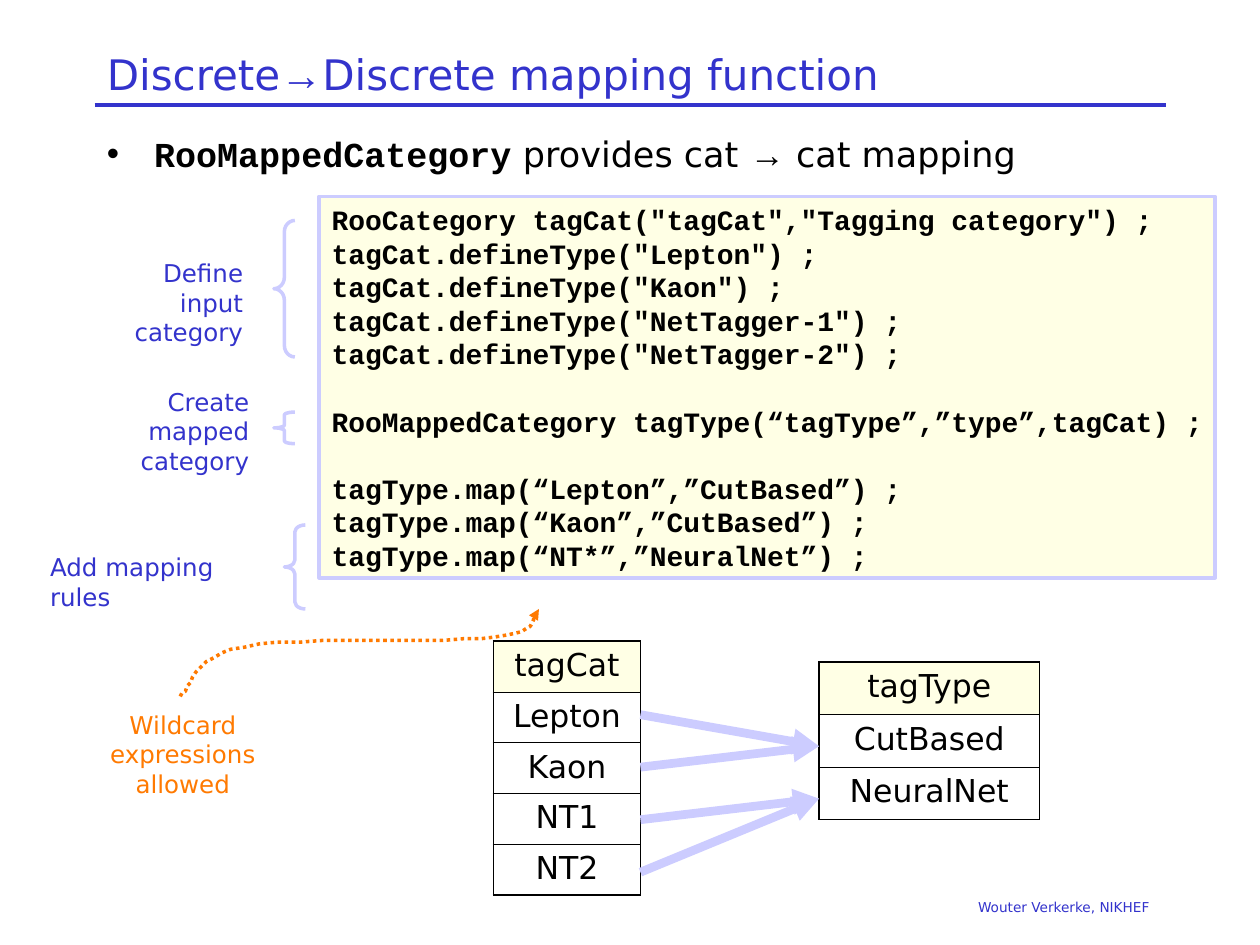
"""Build the slide on mapping one category to another."""
from lxml.etree import SubElement
from pptx import Presentation
from pptx.dml.color import RGBColor
from pptx.enum.dml import MSO_LINE
from pptx.enum.shapes import MSO_CONNECTOR, MSO_SHAPE
from pptx.enum.text import MSO_ANCHOR, PP_ALIGN
from pptx.oxml.ns import qn
from pptx.util import Pt

HUES = {"ink": "000000", "blue": "3333CC", "lilac": "CCCCFF",
        "cream": "FFFFCC", "flame": "FF7A01"}
SANS, MONO, SIGN = "DejaVu Sans", "Courier New", "Arial"
CODE = [
    ['RooCategory tagCat("tagCat","Tagging category") ;',
     'tagCat.defineType("Lepton") ;',
     'tagCat.defineType("Kaon") ;',
     'tagCat.defineType("NetTagger-1") ;',
     'tagCat.defineType("NetTagger-2") ;'],
    ["RooMappedCategory tagType(“tagType”,”type”,tagCat) ;"],
    ["tagType.map(“Lepton”,”CutBased”) ;",
     "tagType.map(“Kaon”,”CutBased”) ;",
     "tagType.map(“NT*”,”NeuralNet”) ;"],
]


def tint(name):
    """Return the named colour."""
    return RGBColor.from_string(HUES[name])


def fade(node):
    """Make the first solid fill in a node half clear."""
    hue = next(node.iter(qn("a:srgbClr")))
    SubElement(hue, qn("a:alpha"), val="50000")


def write(frame, paras, size=14, font=SANS, hue="ink", bold=False,
          align=PP_ALIGN.LEFT, anchor=MSO_ANCHOR.TOP, mark=None, gaps=()):
    """Fill a text frame with paragraphs of plain or (text, font, bold) runs."""
    frame.word_wrap = True
    frame.vertical_anchor = anchor
    for i, para in enumerate(paras):
        line = frame.paragraphs[0] if i == 0 else frame.add_paragraph()
        line.alignment = align
        if i in gaps:
            line.space_before = Pt(size * 1.2)
        if mark:
            props = line._p.get_or_add_pPr()
            props.set("marL", str(Pt(27)))
            props.set("indent", str(-Pt(27)))
            SubElement(props, qn("a:buFont"), typeface=SIGN)
            SubElement(props, qn("a:buChar"), char=mark)
        runs = [(para, font, bold)] if isinstance(para, str) else para
        for text, face, heavy in runs:
            for j, part in enumerate(text.split("\n")):
                if j:
                    line.add_line_break()
                run = line.add_run()
                run.text = part
                run.font.size, run.font.name = Pt(size), face
                run.font.bold, run.font.color.rgb = heavy, tint(hue)


def label(slide, box, paras, **style):
    """Add a text box at the given box."""
    frame = slide.shapes.add_textbox(*map(Pt, box)).text_frame
    write(frame, paras, **style)


def link(slide, start, end, width, hue, head=False):
    """Draw a straight line, with an arrowhead if asked."""
    rule = slide.shapes.add_connector(
        MSO_CONNECTOR.STRAIGHT, *map(Pt, (*start, *end)))
    rule.line.width, rule.line.color.rgb = Pt(width), tint(hue)
    if head:
        point(rule)
    SubElement(rule._element.spPr, qn("a:effectLst"))


def point(shape):
    """Put a triangle at the end of a line."""
    SubElement(shape._element.spPr.find(qn("a:ln")), qn("a:tailEnd"),
               type="triangle")


def header(slide, box):
    """Place the title, its rule and the lead bullet."""
    x, y, w, h = box
    label(slide, box, [[("Discrete", SANS, False), ("→", SIGN, False),
                        ("Discrete mapping function", SANS, False)]],
          size=24, hue="blue", anchor=MSO_ANCHOR.MIDDLE)
    link(slide, (x, y + h), (x + w, y + h), 2, "blue")
    label(slide, (x, y + 48, w, 36),
          [[("RooMappedCategory", MONO, True), (" provides cat ", SANS, False),
            ("→", SIGN, False), (" cat mapping", SANS, False)]],
          size=20, mark="•")


def listing(slide, box):
    """Place the framed code."""
    panel = slide.shapes.add_shape(MSO_SHAPE.RECTANGLE, *map(Pt, box))
    panel.shadow.inherit = False
    panel.fill.solid()
    panel.fill.fore_color.rgb = tint("cream")
    fade(panel._element.spPr)
    panel.line.width, panel.line.color.rgb = Pt(2), tint("lilac")
    panel.text_frame.margin_right = Pt(0)
    gaps = (len(CODE[0]), len(CODE[0]) + len(CODE[1]))
    write(panel.text_frame, sum(CODE, []), size=16, font=MONO, bold=True,
          gaps=gaps)


def brace(slide, box):
    """Place a curly brace beside the code."""
    _, _, w, h = box
    shape = slide.shapes.add_shape(MSO_SHAPE.LEFT_BRACE, *map(Pt, box))
    shape.adjustments[0] = h / 12 / min(w, h)
    shape.shadow.inherit = False
    shape.fill.background()
    shape.line.width, shape.line.color.rgb = Pt(2), tint("lilac")


def notes(slide, box):
    """Place the braces and the steps they name."""
    x, y, _, _ = box
    steps = [("Define input\ncategory", (28.5, 18, 96, 41),
              (135, 0, 12, 78)),
             ("Create mapped\ncategory", (12, 91.5, 116, 41),
              (135, 109.5, 12, 18)),
             ("Add mapping rules", (0, 186, 140, 24.5),
              (141, 174, 12, 48))]
    for text, spot, curl in steps:
        side = PP_ALIGN.RIGHT if "\n" in text else PP_ALIGN.LEFT
        label(slide, (x + spot[0], y + spot[1], *spot[2:]), [text],
              hue="blue", align=side)
        brace(slide, (x + curl[0], y + curl[1], *curl[2:]))


def bend(a, b, c, d, steps=12):
    """Return points along a cubic curve."""
    ts = [i / steps for i in range(1, steps + 1)]
    return [tuple((1 - t) ** 3 * p + 3 * t * (1 - t) ** 2 * q
                  + 3 * t * t * (1 - t) * r + t ** 3 * s
                  for p, q, r, s in zip(a, b, c, d)) for t in ts]


def hint(slide, box):
    """Place the wildcard remark and its dotted arrow."""
    x, y, w, h = box
    label(slide, (x, y + 54, w, 41), ["Wildcard expressions", "allowed"],
          hue="flame", align=PP_ALIGN.CENTER)
    knots = [(76, 50), (82, 45), (83, 27), (112, 21.5), (142.5, 15.5),
             (229, 20), (256, 16), (284, 12.5), (275.5, 3.5), (280.5, 0)]
    knots = [(x + a, y + b) for a, b in knots]
    dots = [p for i in range(0, 9, 3) for p in bend(*knots[i:i + 4])]
    path = slide.shapes.build_freeform(*knots[0], scale=Pt(1))
    path.add_line_segments(dots, close=False)
    curve = path.convert_to_shape()
    curve.shadow.inherit = False
    curve.fill.background()
    curve.line.width, curve.line.color.rgb = Pt(2), tint("flame")
    curve.line.dash_style = MSO_LINE.ROUND_DOT
    point(curve)


def edge(cell, first, last):
    """Draw the borders of a cell, thicker around the table."""
    props = cell._tc.get_or_add_tcPr()
    widths = {"L": 1.08, "R": 1.08, "T": 1.08 if first else 0.45,
              "B": 1.08 if last else 0.45}
    for i, (side, width) in enumerate(widths.items()):
        rule = SubElement(props, qn("a:ln" + side), w=str(Pt(width)))
        SubElement(SubElement(rule, qn("a:solidFill")), qn("a:srgbClr"),
                   val=HUES["ink"])
        props.insert(i, rule)


def states(slide, box, names):
    """Place a one-column table of category states."""
    x, y, w, h = box
    grid = slide.shapes.add_table(len(names), 1, *map(Pt, box)).table
    grid.first_row = grid.horz_banding = False
    for i, name in enumerate(names):
        grid.rows[i].height = Pt(h / len(names))
        cell = grid.cell(i, 0)
        cell.margin_left = cell.margin_right = Pt(7.2)
        cell.margin_top = cell.margin_bottom = Pt(3.6)
        if i == 0:
            cell.fill.solid()
            cell.fill.fore_color.rgb = tint("cream")
            fade(cell._tc.get_or_add_tcPr())
        else:
            cell.fill.background()
        edge(cell, i == 0, i == len(names) - 1)
        write(cell.text_frame, [name], size=18, align=PP_ALIGN.CENTER)


def mapping(slide, box):
    """Place both tables and the arrows between them."""
    x, y, w, h = box
    states(slide, (x, y, 84, h), ["tagCat", "Lepton", "Kaon", "NT1", "NT2"])
    states(slide, (x + w - 126, y + 12, 126, 90),
           ["tagType", "CutBased", "NeuralNet"])
    for i in range(4):
        link(slide, (x + 84, y + 42 + 30 * i),
             (x + w - 126, y + 60 + 30 * (i // 2)), 5, "lilac", head=True)


def main():
    """Build and save the deck."""
    deck = Presentation()
    deck.slide_width, deck.slide_height = Pt(720), Pt(540)
    slide = deck.slides.add_slide(deck.slide_layouts[6])
    label(slide, (54, 510, 610, 18), ["Wouter Verkerke, NIKHEF"], size=7.8,
          hue="blue", align=PP_ALIGN.RIGHT)
    header(slide, (54, 24, 612, 36))
    listing(slide, (182.4, 112.2, 512, 218))
    notes(slide, (21.5, 126, 153, 222))
    hint(slide, (27, 348, 155, 95))
    mapping(slide, (282, 366.4, 312, 145))
    deck.save("out.pptx")


if __name__ == "__main__":
    main()
